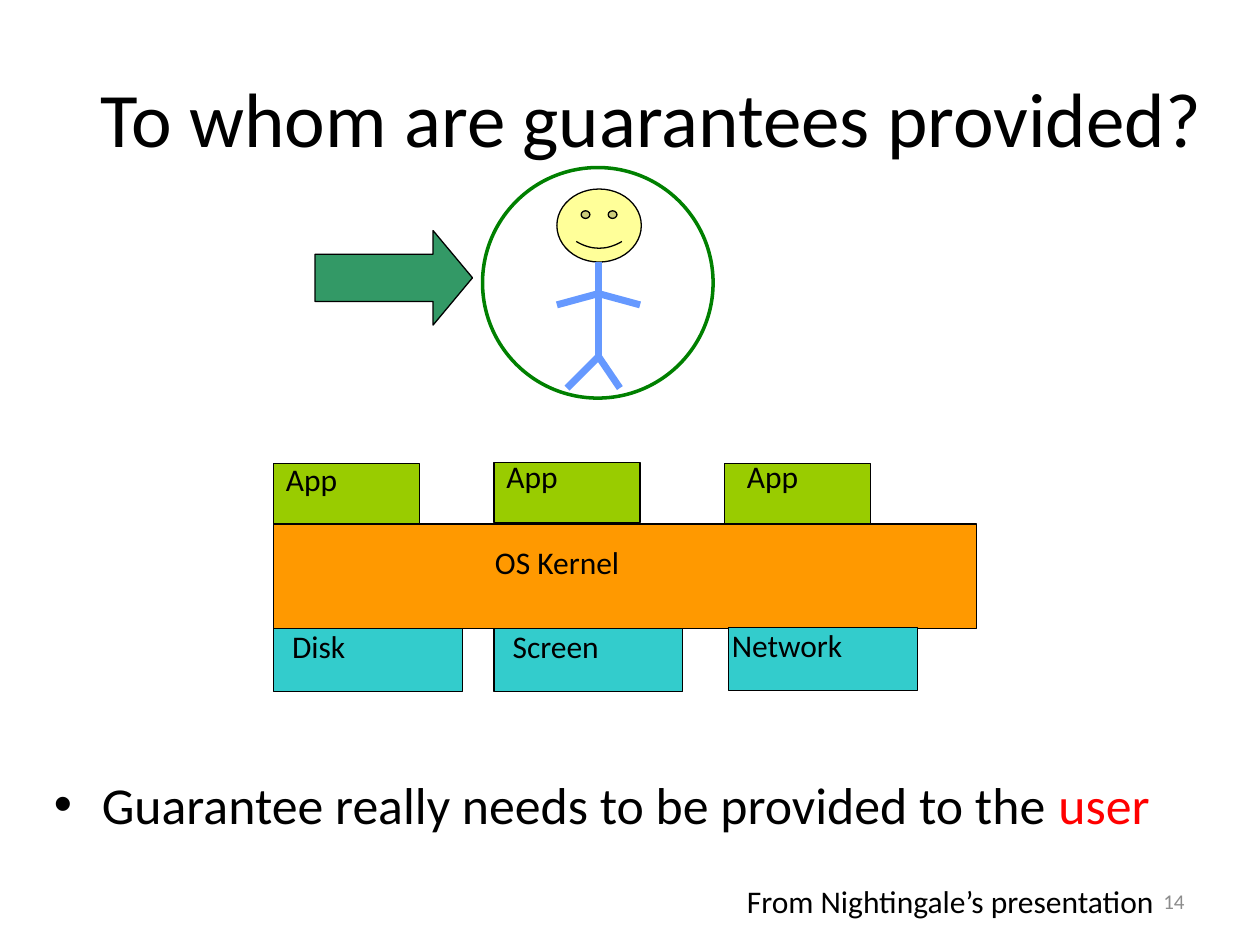
from lxml.etree import SubElement
from pptx import Presentation
from pptx.dml.color import RGBColor
from pptx.enum.shapes import MSO_CONNECTOR, MSO_SHAPE
from pptx.enum.text import MSO_ANCHOR, MSO_AUTO_SIZE, PP_ALIGN
from pptx.oxml.ns import qn
from pptx.util import Inches, Pt

BLACK = RGBColor(0x00, 0x00, 0x00)
GRAY = RGBColor(0x8C, 0x8C, 0x8C)
RED = RGBColor(0xFF, 0x00, 0x00)
ORANGE = RGBColor(0xFF, 0x99, 0x00)
TEAL = RGBColor(0x33, 0xCC, 0xCC)
LIME = RGBColor(0x99, 0xCC, 0x00)
YELLOW = RGBColor(0xFF, 0xFF, 0x99)
BLUE = RGBColor(0x66, 0x99, 0xFF)
RING_GREEN = RGBColor(0x00, 0x80, 0x00)
ARROW_GREEN = RGBColor(0x33, 0x99, 0x66)


class SlideBuilder:
    font_name = "Calibri"

    def __init__(self, slide):
        self.slide = slide

    def add_run(self, paragraph, text, size, color=BLACK):
        run = paragraph.add_run()
        run.text = text
        run.font.name = self.font_name
        run.font.size = Pt(size)
        run.font.color.rgb = color

    def title(self, text, left, top, width, height):
        shape = self.slide.shapes.title
        shape.left, shape.top = Inches(left), Inches(top)
        shape.width, shape.height = Inches(width), Inches(height)
        frame = shape.text_frame
        frame.auto_size = MSO_AUTO_SIZE.NONE
        frame.vertical_anchor = MSO_ANCHOR.MIDDLE
        paragraph = frame.paragraphs[0]
        paragraph.alignment = PP_ALIGN.CENTER
        self.add_run(paragraph, text, 44)

    def text(self, runs, left, top, width, height, size=18, wrap=True,
             align=PP_ALIGN.LEFT, anchor=MSO_ANCHOR.TOP, bullet=False):
        """Add a one-paragraph text box; runs is a list of (text, color)."""
        box = self.slide.shapes.add_textbox(
            Inches(left), Inches(top), Inches(width), Inches(height))
        frame = box.text_frame
        frame.word_wrap = wrap
        frame.vertical_anchor = anchor
        paragraph = frame.paragraphs[0]
        paragraph.alignment = align
        if bullet:
            properties = paragraph._p.get_or_add_pPr()
            properties.set("marL", str(Inches(0.38)))
            properties.set("indent", str(Inches(-0.38)))
            SubElement(properties, qn("a:buFont")).set("typeface", "Arial")
            SubElement(properties, qn("a:buChar")).set("char", "•")
        for text, color in runs:
            self.add_run(paragraph, text, size, color)

    def shape(self, kind, left, top, width, height, fill=None, line=BLACK,
              line_width=0.75, adjustments=(), group=None):
        container = group or self.slide
        shape = container.shapes.add_shape(
            kind, Inches(left), Inches(top), Inches(width), Inches(height))
        shape.shadow.inherit = False
        if fill is None:
            shape.fill.background()
        else:
            shape.fill.solid()
            shape.fill.fore_color.rgb = fill
        shape.line.color.rgb = line
        shape.line.width = Pt(line_width)
        for index, value in enumerate(adjustments):
            shape.adjustments[index] = value

    def limb(self, start, end, group):
        connector = group.shapes.add_connector(
            MSO_CONNECTOR.STRAIGHT, *(Inches(value) for value in start + end))
        connector.line.color.rgb = BLUE
        connector.line.width = Pt(4)
        SubElement(connector._element.spPr, qn("a:effectLst"))

    def user_figure(self):
        group = self.slide.shapes.add_group_shape()
        self.shape(MSO_SHAPE.SMILEY_FACE, 4.42, 1.5, 0.67, 0.58, YELLOW,
                   adjustments=[0.047], group=group)
        neck, shoulder, hip = (4.75, 2.08), (4.75, 2.33), (4.75, 2.83)
        limbs = [(neck, hip), (shoulder, (5.08, 2.42)), (shoulder, (4.42, 2.42)),
                 (hip, (4.5, 3.08)), (hip, (4.92, 3.08))]
        for start, end in limbs:
            self.limb(start, end, group)

    def labelled_block(self, label, block, label_box, fill):
        self.shape(MSO_SHAPE.RECTANGLE, *block, fill)
        self.text([(label, BLACK)], *label_box)


def main():
    presentation = Presentation()
    presentation.slide_width = Inches(10)
    presentation.slide_height = Inches(7.5)
    slide = presentation.slides.add_slide(presentation.slide_layouts[5])
    builder = SlideBuilder(slide)

    builder.text([("14", GRAY)], 7.17, 6.95, 2.33, 0.4, size=12,
                 align=PP_ALIGN.RIGHT, anchor=MSO_ANCHOR.MIDDLE)
    builder.title("To whom are guarantees provided?", 0.42, 0.3, 9.5, 1.25)
    builder.text([("Guarantee really needs to be provided to the ", BLACK),
                  ("user", RED)], 0.33, 6.08, 9, 0.83, size=29.6, bullet=True)

    builder.labelled_block("OS Kernel", (2.17, 4.16, 5.58, 0.83),
                           (3.83, 4.26, 1.92, 0.57), ORANGE)
    devices = [("Disk", 2.17, 4.99, 2.22, 4.93),
               ("Screen", 3.92, 4.99, 3.97, 4.93),
               ("Network", 5.78, 4.98, 5.71, 4.92)]
    for label, left, top, label_left, label_top in devices:
        builder.labelled_block(label, (left, top, 1.5, 0.5),
                               (label_left, label_top, 1.5, 0.57), TEAL)
    apps = [(2.17, 3.68, 2.17, 3.6), (3.92, 3.67, 3.92, 3.58),
            (5.75, 3.68, 5.83, 3.58)]
    for left, top, label_left, label_top in apps:
        builder.labelled_block("App", (left, top, 1.16, 0.48),
                               (label_left, label_top, 1.08, 0.57), LIME)

    builder.user_figure()
    builder.shape(MSO_SHAPE.OVAL, 3.83, 1.33, 1.83, 1.83,
                  line=RING_GREEN, line_width=2)
    builder.shape(MSO_SHAPE.RIGHT_ARROW, 2.5, 1.83, 1.25, 0.75, ARROW_GREEN,
                  adjustments=[0.5, 0.417])
    builder.text([("From Nightingale’s presentation", BLACK)],
                 5.83, 6.95, 3.47, 0.4, wrap=False)
    presentation.save("out.pptx")


if __name__ == "__main__":
    main()
